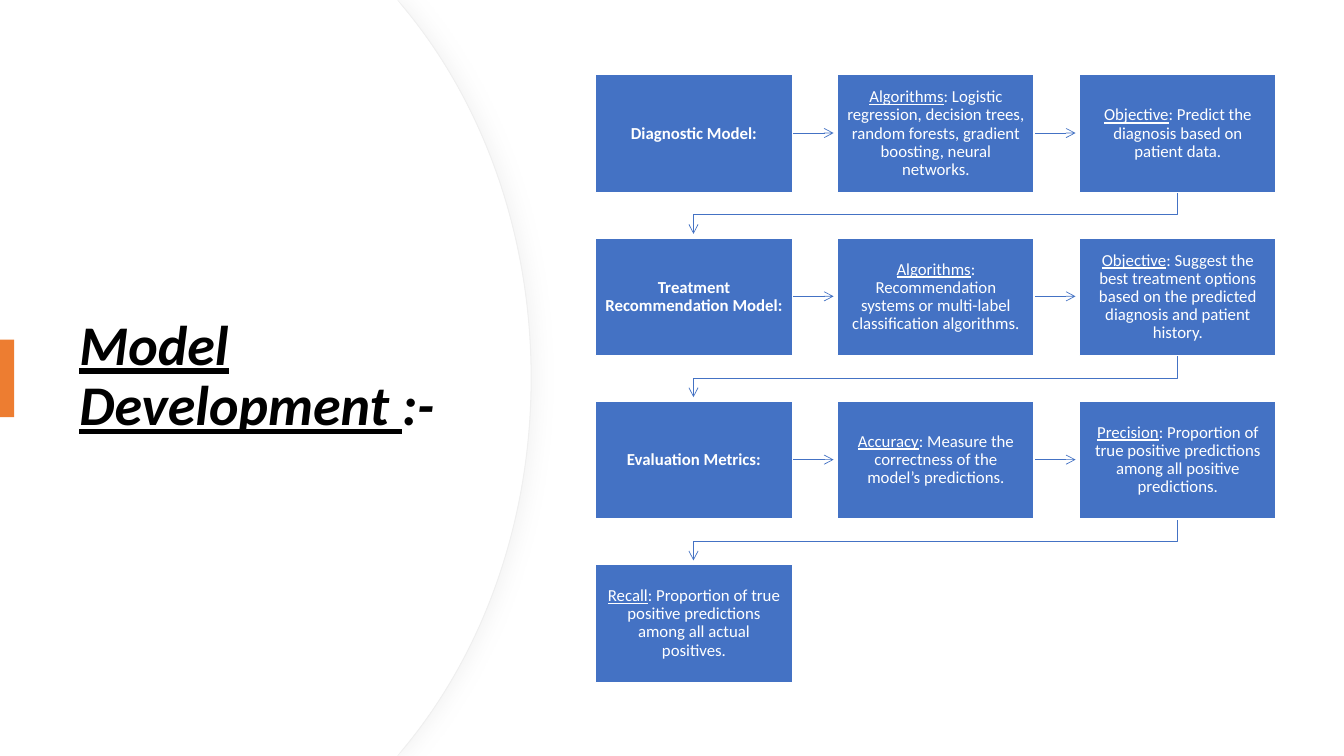
"""Build the Model Development slide: a title on a curved panel beside a flow of boxes."""
import pptx
import pptx.dml.color
import pptx.enum.shapes
import pptx.enum.text
import pptx.oxml
import pptx.oxml.ns
import pptx.util
from lxml import etree

PX = 9144
WHITE = pptx.dml.color.RGBColor(0xFF, 0xFF, 0xFF)
BLACK = pptx.dml.color.RGBColor(0x00, 0x00, 0x00)
BLUE = pptx.dml.color.RGBColor(0x44, 0x72, 0xC4)
ORANGE = pptx.dml.color.RGBColor(0xED, 0x7D, 0x31)
PANEL_EDGE = pptx.dml.color.RGBColor(0xEF, 0xEF, 0xEF)
RECTANGLE = pptx.enum.shapes.MSO_SHAPE.RECTANGLE

SLIDE_HEIGHT = 750
BOX_WIDTH, BOX_HEIGHT = 195, 117
FLOW_LEFT, FLOW_TOP = 591, 74
COLUMNS, COLUMN_PITCH, ROW_PITCH = 3, 240, 162

BOXES = [
    ("Diagnostic Model:", ""),
    ("Algorithms", ": Logistic regression, decision trees, random forests, gradient boosting, neural networks."),
    ("Objective", ": Predict the diagnosis based on patient data."),
    ("Treatment Recommendation Model:", ""),
    ("Algorithms", ": Recommendation systems or multi-label classification algorithms."),
    ("Objective", ": Suggest the best treatment options based on the predicted diagnosis and patient history."),
    ("Evaluation Metrics:", ""),
    ("Accuracy", ": Measure the correctness of the model’s predictions."),
    ("Precision", ": Proportion of true positive predictions among all positive predictions."),
    ("Recall", ": Proportion of true positive predictions among all actual positives."),
]


def add_outline(slide, points, close):
    builder = slide.shapes.build_freeform(*points[0], scale=PX)
    builder.add_line_segments(points[1:], close=close)
    shape = builder.convert_to_shape()
    shape.shadow.inherit = False
    return shape


def add_run(paragraph, text, size, color):
    run = paragraph.add_run()
    run.text = text
    run.font.name = "Calibri"
    run.font.size = pptx.util.Pt(size)
    run.font.color.rgb = color
    return run


presentation = pptx.Presentation()
presentation.slide_width = pptx.util.Inches(13.333)
presentation.slide_height = SLIDE_HEIGHT * PX
slide = presentation.slides.add_slide(presentation.slide_layouts[6])

for inset in (0, 1):
    upper = [(394, 0), (401 - inset, 8), (479 - inset, 102), (527 - inset, 232), (527 - inset, 375)]
    lower = [(x, SLIDE_HEIGHT - y) for x, y in reversed(upper[:-1])]
    panel = add_outline(slide, [(0, 0), *upper, *lower, (0, SLIDE_HEIGHT)], True)
    segments = list(panel.element.spPr.iter(pptx.oxml.ns.qn("a:lnTo")))
    for first in (2, 5):
        curve = etree.Element(pptx.oxml.ns.qn("a:cubicBezTo"))
        segments[first].addprevious(curve)
        for segment in segments[first:first + 3]:
            curve.append(segment[0])
            segment.getparent().remove(segment)
    panel.fill.solid()
    panel.fill.fore_color.rgb = WHITE
    if inset:
        panel.line.fill.background()
    else:
        panel.line.color.rgb = PANEL_EDGE
        panel.line.width = pptx.util.Pt(0.75)
        effects = panel.element.spPr.find(pptx.oxml.ns.qn("a:effectLst"))
        effects.append(pptx.oxml.parse_xml(
            f'<a:outerShdw {pptx.oxml.ns.nsdecls("a")} blurRad="177800" dist="38100" dir="0" algn="l" '
            'rotWithShape="0"><a:srgbClr val="D9D9D9"><a:alpha val="30000"/></a:srgbClr></a:outerShdw>'))

title = slide.shapes.add_textbox(69 * PX, 127 * PX, 394 * PX, 495 * PX)
title.text_frame.word_wrap = True
title.text_frame.vertical_anchor = pptx.enum.text.MSO_ANCHOR.MIDDLE
paragraph = title.text_frame.paragraphs[0]
paragraph.line_spacing = 0.9
for text, underline in (("Model Development ", True), (":-", False)):
    run = add_run(paragraph, text, 40, BLACK)
    run.font.bold = run.font.italic = True
    run.font.underline = underline

accent = slide.shapes.add_shape(RECTANGLE, 0, 337 * PX, 14 * PX, 77 * PX)
accent.shadow.inherit = False
accent.fill.solid()
accent.fill.fore_color.rgb = ORANGE
accent.line.fill.background()

for index, (heading, detail) in enumerate(BOXES):
    row, column = divmod(index, COLUMNS)
    left = FLOW_LEFT + column * COLUMN_PITCH
    top = FLOW_TOP + row * ROW_PITCH
    right, bottom = left + BOX_WIDTH, top + BOX_HEIGHT

    arrow = None
    if column < COLUMNS - 1 and index < len(BOXES) - 1:
        middle = top + BOX_HEIGHT // 2
        arrow = slide.shapes.add_connector(
            pptx.enum.shapes.MSO_CONNECTOR.STRAIGHT,
            right * PX, middle * PX, (right + 41) * PX, middle * PX)
        etree.SubElement(arrow.element.spPr, pptx.oxml.ns.qn("a:effectLst"))
    elif column == COLUMNS - 1:
        start_x, end_x = left + BOX_WIDTH // 2, FLOW_LEFT + BOX_WIDTH // 2
        arrow = add_outline(slide, [
            (start_x, bottom), (start_x, bottom + 22), (end_x, bottom + 22), (end_x, bottom + 41)], False)
        arrow.fill.background()
    if arrow is not None:
        arrow.line.color.rgb = BLUE
        arrow.line.width = pptx.util.Pt(0.5)
        line = arrow.element.spPr.find(pptx.oxml.ns.qn("a:ln"))
        etree.SubElement(line, pptx.oxml.ns.qn("a:tailEnd"), type="arrow")

    box = slide.shapes.add_shape(RECTANGLE, left * PX, top * PX, BOX_WIDTH * PX, BOX_HEIGHT * PX)
    box.shadow.inherit = False
    box.fill.solid()
    box.fill.fore_color.rgb = BLUE
    box.line.color.rgb = WHITE
    box.line.width = pptx.util.Pt(1)
    frame = box.text_frame
    frame.word_wrap = True
    frame.vertical_anchor = pptx.enum.text.MSO_ANCHOR.MIDDLE
    frame.margin_left = frame.margin_right = frame.margin_top = frame.margin_bottom = 9 * PX
    paragraph = frame.paragraphs[0]
    paragraph.alignment = pptx.enum.text.PP_ALIGN.CENTER
    paragraph.line_spacing = 0.9
    run = add_run(paragraph, heading, 12, WHITE)
    if detail:
        run.font.underline = True
        add_run(paragraph, detail, 12, WHITE)
    else:
        run.font.bold = True

presentation.save("out.pptx")
